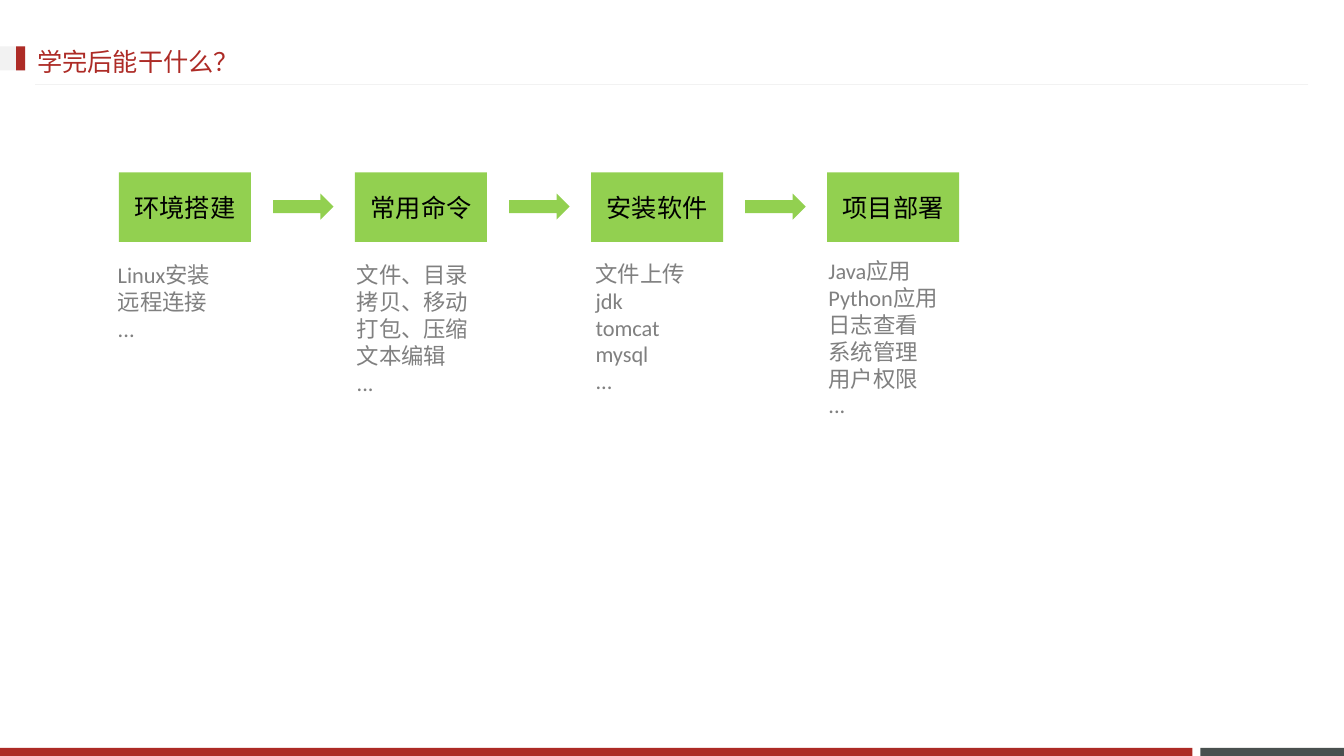
from dataclasses import dataclass

from lxml.etree import SubElement
from pptx import Presentation
from pptx.dml.color import RGBColor
from pptx.enum.shapes import MSO_CONNECTOR as CONNECTOR, MSO_SHAPE as SHAPE
from pptx.enum.text import MSO_ANCHOR as ANCHOR, MSO_AUTO_SIZE as AUTO, PP_ALIGN as ALIGN
from pptx.oxml.ns import qn
from pptx.util import Inches, Length, Pt

COLS, ROWS = 160, 90
FONT = "Calibri"
RED, SLATE, PALE = "AD2B26", "49504F", "F2F2F2"
GREEN, BLACK, GREY = "92D050", "000000", "808080"
STEP_LEFT, STEP_TOP, STEP_W, STEP_H, STEP_PITCH = 14.16, 20.52, 15.72, 8.28, 28.1
ARROW_SHIFT, ARROW_TOP, ARROW_W, ARROW_H = 18.36, 23.04, 7.2, 3.12


@dataclass(frozen=True)
class Area:
    left: float
    top: float
    width: float
    height: float

    def emu(self) -> tuple[Length, ...]:
        return tuple(cells(n) for n in (self.left, self.top, self.width, self.height))


@dataclass(frozen=True)
class Block:
    area: Area
    fill: str


@dataclass(frozen=True)
class Step:
    name: str
    topics: list[str]
    area: Area
    inset: float = 0.6


FRAME = [
    Block(Area(142.9, 89.04, 17.1, 0.96), SLATE),
    Block(Area(0, 89.04, 141.96, 0.96), RED),
    Block(Area(0, 5.52, 3, 2.88), PALE),
    Block(Area(1.92, 5.52, 1.08, 2.88), RED),
]
STEPS = [
    Step("环境搭建", ["Linux安装", "远程连接", "..."], Area(12.84, 27.6, 19.56, 16.56)),
    Step("常用命令", ["文件、目录", "拷贝、移动", "打包、压缩", "文本编辑", "..."],
         Area(41.28, 26.52, 17.88, 25.2)),
    Step("安装软件", ["文件上传", "jdk", "tomcat", "mysql", "..."],
         Area(69.72, 26.4, 15.96, 21.48), inset=4.2),
    Step("项目部署", ["Java应用", "Python应用", "日志查看", "系统管理", "用户权限", "..."],
         Area(97.44, 31.08, 17.88, 18.24)),
]


def cells(n: float) -> Length:
    return Inches(n / 12)


def rgb(value: str) -> RGBColor:
    return RGBColor.from_string(value)


def write(tf, lines: list[str], size: int, color: str, align=ALIGN.LEFT) -> None:
    tf.word_wrap = True
    tf.vertical_anchor = ANCHOR.MIDDLE
    for i, line in enumerate(lines):
        p = tf.add_paragraph() if i else tf.paragraphs[0]
        p.text = line
        p.alignment = align
        p.font.name = FONT
        p.font.size = Pt(size)
        p.font.color.rgb = rgb(color)


def add_block(s, block: Block, kind=SHAPE.RECTANGLE):
    sp = s.shapes.add_shape(kind, *block.area.emu())
    sp.shadow.inherit = False
    sp.fill.solid()
    sp.fill.fore_color.rgb = rgb(block.fill)
    sp.line.fill.background()
    return sp


def add_rule(s, start: float, end: float, row: float) -> None:
    line = s.shapes.add_connector(
        CONNECTOR.STRAIGHT, cells(start), cells(row), cells(end), cells(row))
    line.line.color.rgb = rgb(PALE)
    line.line.width = Pt(0.75)
    SubElement(line._element.spPr, qn("a:effectLst"))


def add_title(s, text: str) -> None:
    tf = s.shapes.add_textbox(*Area(-3.24, 4.92, 39.36, 4.8).emu()).text_frame
    write(tf, [text], 18, RED, ALIGN.CENTER)
    tf.auto_size = AUTO.SHAPE_TO_FIT_TEXT


def add_step(s, step: Step, left: float) -> None:
    box = add_block(s, Block(Area(left, STEP_TOP, STEP_W, STEP_H), GREEN))
    write(box.text_frame, [step.name], 18, BLACK, ALIGN.CENTER)
    tf = s.shapes.add_textbox(*step.area.emu()).text_frame
    tf.margin_top = cells(step.inset)
    write(tf, step.topics, 16, GREY)


def main() -> None:
    """Build the learning-path slide and save it."""
    prs = Presentation()
    prs.slide_width, prs.slide_height = cells(COLS), cells(ROWS)
    s = prs.slides.add_slide(prs.slide_layouts[6])
    for block in FRAME:
        add_block(s, block)
    add_rule(s, 155.76, 4.2, 10.08)
    add_title(s, "学完后能干什么？")
    for i, step in enumerate(STEPS):
        left = STEP_LEFT + i * STEP_PITCH
        add_step(s, step, left)
        if i < len(STEPS) - 1:
            arrow = Area(left + ARROW_SHIFT, ARROW_TOP, ARROW_W, ARROW_H)
            add_block(s, Block(arrow, GREEN), SHAPE.RIGHT_ARROW)
    prs.save("out.pptx")


if __name__ == "__main__":
    main()
